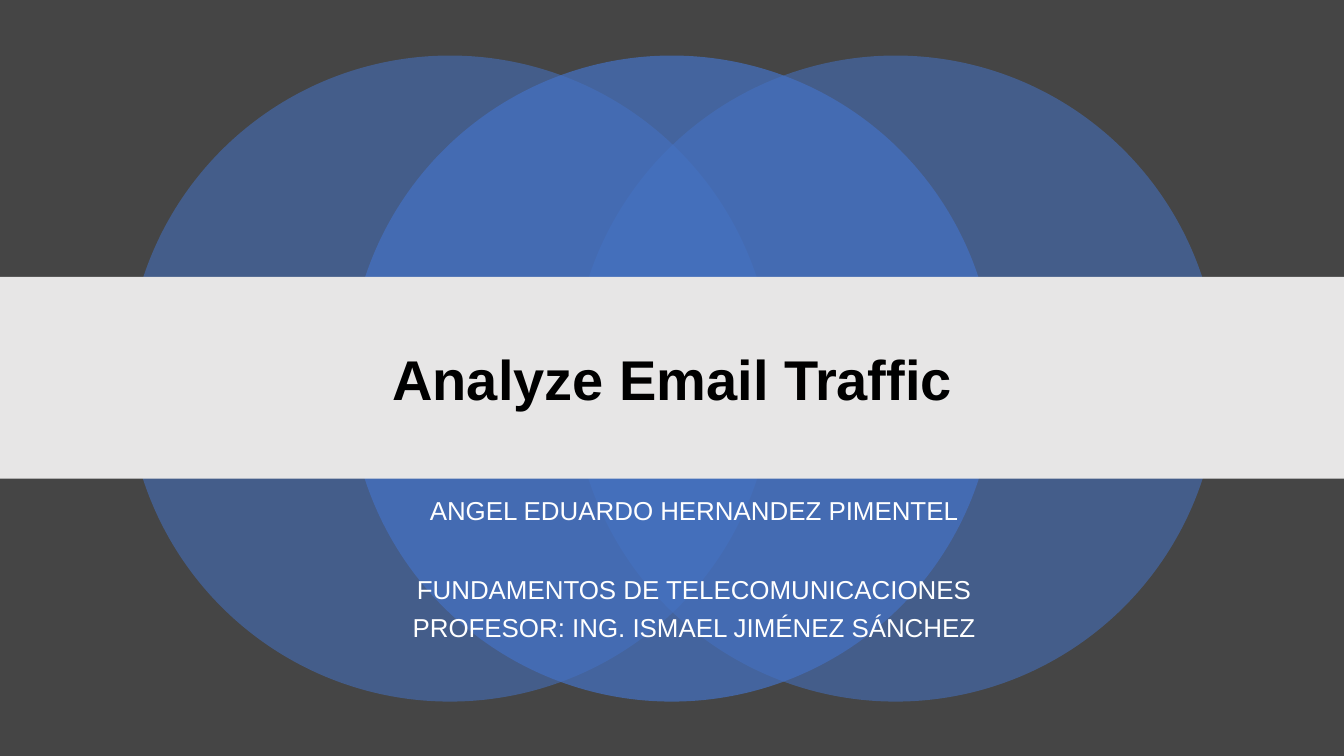
from dataclasses import dataclass

from lxml import etree
from pptx import Presentation
from pptx import util as u
from pptx.dml.color import RGBColor
from pptx.enum import shapes, text
from pptx.oxml import ns


@dataclass(frozen=True)
class Theme:
    background: str = "454545"
    circle: str = "4472C4"
    band: str = "E7E6E6"
    title: str = "000000"
    subtitle: str = "FFFFFF"
    font: str = "Arial"
    title_size: float = 40
    subtitle_size: float = 18.5


THEME = Theme()
SLIDE_WIDTH, SLIDE_HEIGHT = 33.87, 19.05
CIRCLE_SIZE, CIRCLE_TOP = 16.28, 1.4
CIRCLES = [(3.2, 55), (14.43, 55), (8.79, 70)]  # left, opacity in percent
SUBTITLE_LINES = [  # wording, space before in points
    ("ANGEL EDUARDO HERNANDEZ PIMENTEL", 10),
    ("FUNDAMENTOS DE TELECOMUNICACIONES", 38),
    ("PROFESOR: ING. ISMAEL JIMÉNEZ SÁNCHEZ", 10),
]


def set_attributes(target, values):
    for name, value in values.items():
        setattr(target, name, value)


def add_plain_shape(slide, kind, box, color, opacity=100):
    """Add a borderless filled shape; box is left, top, width, height in cm."""
    shape = slide.shapes.add_shape(kind, *map(u.Cm, box))
    shape.shadow.inherit = False
    shape.line.fill.background()
    shape.fill.solid()
    shape.fill.fore_color.rgb = RGBColor.from_string(color)
    if opacity < 100:
        color_element = shape.fill._xPr.find(".//" + ns.qn("a:srgbClr"))
        alpha = etree.SubElement(color_element, ns.qn("a:alpha"))
        alpha.set("val", str(opacity * 1000))


def add_centred_text(slide, box, lines, anchor, line_spacing, font):
    """Add one paragraph for each (wording, space before) pair in lines."""
    frame = slide.shapes.add_textbox(*map(u.Cm, box)).text_frame
    set_attributes(frame, {"word_wrap": True, "vertical_anchor": anchor})
    for index, (wording, space_before) in enumerate(lines):
        paragraph = frame.add_paragraph() if index else frame.paragraphs[0]
        set_attributes(paragraph, {
            "alignment": text.PP_ALIGN.CENTER,
            "line_spacing": line_spacing,
            "space_before": u.Pt(space_before),
        })
        run = paragraph.add_run()
        run.text = wording
        set_attributes(run.font, {
            "name": THEME.font,
            "size": u.Pt(font["size"]),
            "bold": font["bold"],
        })
        run.font.color.rgb = RGBColor.from_string(font["color"])


def main():
    presentation = Presentation()
    set_attributes(presentation, {
        "slide_width": u.Cm(SLIDE_WIDTH),
        "slide_height": u.Cm(SLIDE_HEIGHT),
    })
    slide = presentation.slides.add_slide(presentation.slide_layouts[6])
    slide.background.fill.solid()
    slide.background.fill.fore_color.rgb = RGBColor.from_string(THEME.background)

    for left, opacity in CIRCLES:
        add_plain_shape(slide, shapes.MSO_SHAPE.OVAL,
                        (left, CIRCLE_TOP, CIRCLE_SIZE, CIRCLE_SIZE),
                        THEME.circle, opacity)
    add_plain_shape(slide, shapes.MSO_SHAPE.RECTANGLE,
                    (0, 6.98, SLIDE_WIDTH, 5.08), THEME.band)

    add_centred_text(slide, (4.24, 7.72, 25.4, 3.84),
                     [("Analyze Email Traffic", 0)],
                     text.MSO_ANCHOR.MIDDLE, 0.9,
                     {"size": THEME.title_size, "bold": True, "color": THEME.title})
    add_centred_text(slide, (4.24, 12.5, 26.49, 3.94), SUBTITLE_LINES,
                     text.MSO_ANCHOR.TOP, 0.8,
                     {"size": THEME.subtitle_size, "bold": False,
                      "color": THEME.subtitle})
    presentation.save("out.pptx")


if __name__ == "__main__":
    main()
